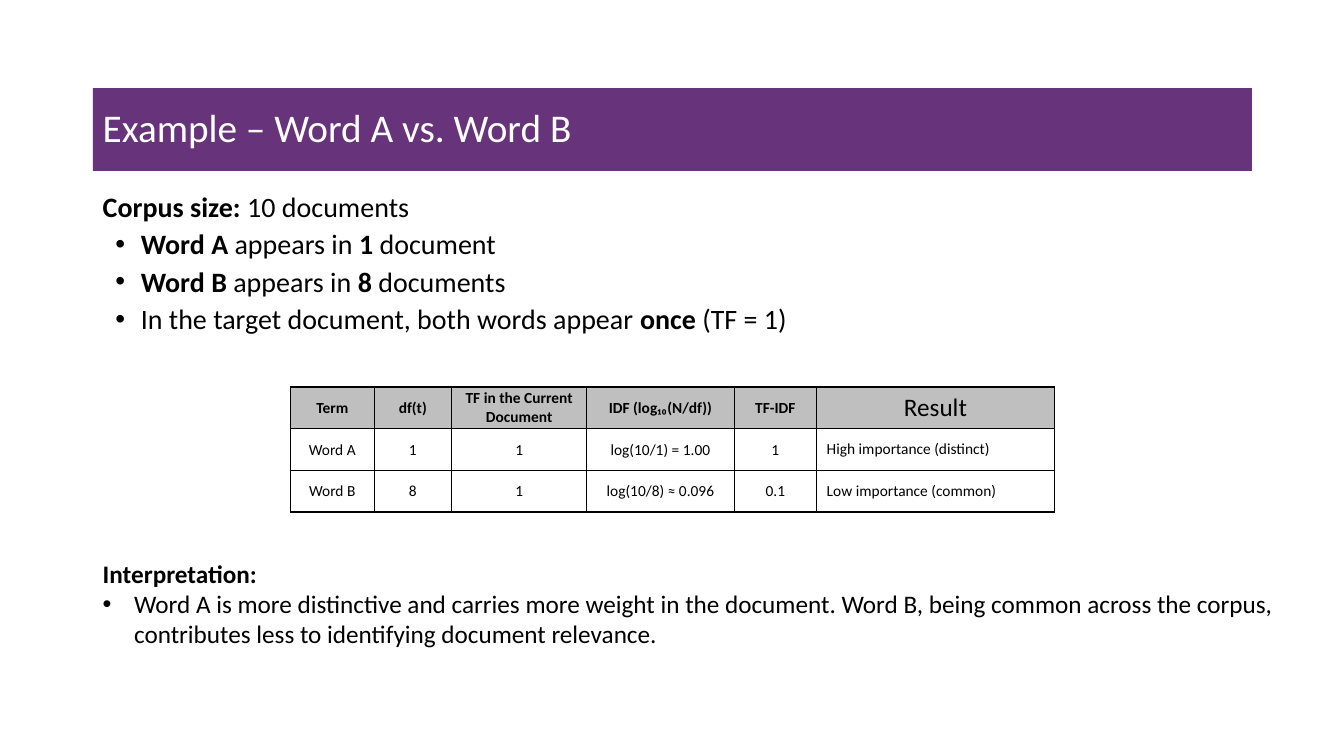
from dataclasses import dataclass

from lxml import etree
from pptx import Presentation
from pptx.dml.color import RGBColor
from pptx.enum.shapes import MSO_SHAPE
from pptx.enum.text import MSO_ANCHOR, PP_ALIGN
from pptx.oxml.ns import qn
from pptx.util import Cm, Pt

RECTANGLE = MSO_SHAPE.RECTANGLE
TOP, MIDDLE = MSO_ANCHOR.TOP, MSO_ANCHOR.MIDDLE
LEFT, CENTER = PP_ALIGN.LEFT, PP_ALIGN.CENTER


@dataclass(frozen=True)
class Theme:
    font: str = "Calibri"
    banner: str = "67337A"
    light: str = "FFFFFF"
    ink: str = "000000"
    header: str = "BFBFBF"
    title_size: int = 28
    body_size: int = 20
    note_size: int = 18
    cell_size: int = 11


THEME = Theme()


def write(para, text, size, color=THEME.ink, align=LEFT, spacing=1.0, before=0, margin=0, hanging=0):
    if margin:
        properties = para._p.get_or_add_pPr()
        properties.set("marL", str(Cm(margin)))
        properties.set("indent", str(-Cm(hanging)))
        etree.SubElement(properties, qn("a:buFont")).set("typeface", "Arial")
        etree.SubElement(properties, qn("a:buChar")).set("char", "•")
    para.alignment = align
    para.line_spacing = spacing
    para.space_before = Pt(before)
    for index, part in enumerate(text.split("**")):
        if part:
            span = para.add_run()
            span.text = part
            span.font.name = THEME.font
            span.font.size = Pt(size)
            span.font.bold = index % 2 == 1
            span.font.color.rgb = RGBColor.from_string(color)


class SlideBuilder:
    def __init__(self, page, theme):
        self.page = page
        self.theme = theme

    def banner(self, text, left, top, width, height):
        box = self.page.shapes.add_shape(RECTANGLE, Cm(left), Cm(top), Cm(width), Cm(height))
        box.shadow.inherit = False
        box.fill.solid()
        box.fill.fore_color.rgb = RGBColor.from_string(self.theme.banner)
        box.line.fill.background()
        box.text_frame.word_wrap = True
        box.text_frame.vertical_anchor = MIDDLE
        write(box.text_frame.paragraphs[0], text, self.theme.title_size, self.theme.light, spacing=0.9)

    def text_list(self, heading, bullets, left, top, width, height, size, margin, hanging, spacing=1.0, before=0):
        box = self.page.shapes.add_textbox(Cm(left), Cm(top), Cm(width), Cm(height))
        frame = box.text_frame
        frame.word_wrap = True
        frame.vertical_anchor = TOP
        write(frame.paragraphs[0], heading, size, spacing=spacing)
        for bullet in bullets:
            write(frame.add_paragraph(), bullet, size, spacing=spacing, before=before,
                  margin=margin, hanging=hanging)

    def table(self, rows, left, top, widths, height):
        frame = self.page.shapes.add_table(len(rows), len(widths), Cm(left), Cm(top),
                                           Cm(sum(widths)), Cm(height * len(rows)))
        grid = frame.table
        grid.first_row = grid.horz_banding = False
        for column, width in zip(grid.columns, widths):
            column.width = Cm(width)
        for row_index, values in enumerate(rows):
            grid.rows[row_index].height = Cm(height)
            for column_index, value in enumerate(values):
                self.cell(grid.cell(row_index, column_index), value,
                          row_index == 0, column_index == len(widths) - 1)

    def cell(self, cell, text, is_header, is_result):
        self.borders(cell)
        if is_header:
            cell.fill.solid()
            cell.fill.fore_color.rgb = RGBColor.from_string(self.theme.header)
        else:
            cell.fill.background()
        cell.vertical_anchor = MIDDLE
        if not is_result:
            cell.margin_left = cell.margin_right = cell.margin_top = Cm(0.02)
            cell.margin_bottom = Cm(0)
        size = self.theme.note_size if is_header and is_result else self.theme.cell_size
        align = LEFT if is_result and not is_header else CENTER
        write(cell.text_frame.paragraphs[0], text, size, align=align)

    def borders(self, cell):
        properties = cell._tc.get_or_add_tcPr()
        for side in ("lnL", "lnR", "lnT", "lnB"):
            line = etree.SubElement(properties, qn(f"a:{side}"), w=str(Pt(1)))
            fill = etree.SubElement(line, qn("a:solidFill"))
            etree.SubElement(fill, qn("a:srgbClr"), val=self.theme.ink)


def main():
    deck = Presentation()
    deck.slide_width, deck.slide_height = Cm(33.87), Cm(19.05)
    builder = SlideBuilder(deck.slides.add_slide(deck.slide_layouts[6]), THEME)
    left, width = 2.34, 29.21

    builder.banner("Example – Word A vs. Word B", left, 2.22, width, 2.09)
    builder.text_list(
        "**Corpus size:** 10 documents",
        ["**Word A** appears in **1** document",
         "**Word B** appears in **8** documents",
         "In the target document, both words appear **once** (TF = 1)"],
        left, 4.75, width, 4.78, THEME.body_size, margin=0.96, hanging=0.64, spacing=0.9, before=5)
    builder.table(
        [["**Term**", "**df(t)**", "**TF in the Current Document**", "**IDF (log₁₀(N/df))**",
          "**TF-IDF**", "Result"],
         ["Word A", "1", "1", "log(10/1) = 1.00", "1", "High importance (distinct)"],
         ["Word B", "8", "1", "log(10/8) ≈ 0.096", "0.1", "Low importance (common)"]],
        7.32, 9.75, [2.11, 1.95, 3.41, 3.71, 2.08, 5.99], 1.05)
    builder.text_list(
        "**Interpretation:**",
        ["Word A is more distinctive and carries more weight in the document. Word B, being common "
         "across the corpus, contributes less to identifying document relevance."],
        left, 13.94, 31.5, 2.57, THEME.note_size, margin=0.79, hanging=0.79)
    deck.save("out.pptx")


if __name__ == "__main__":
    main()
